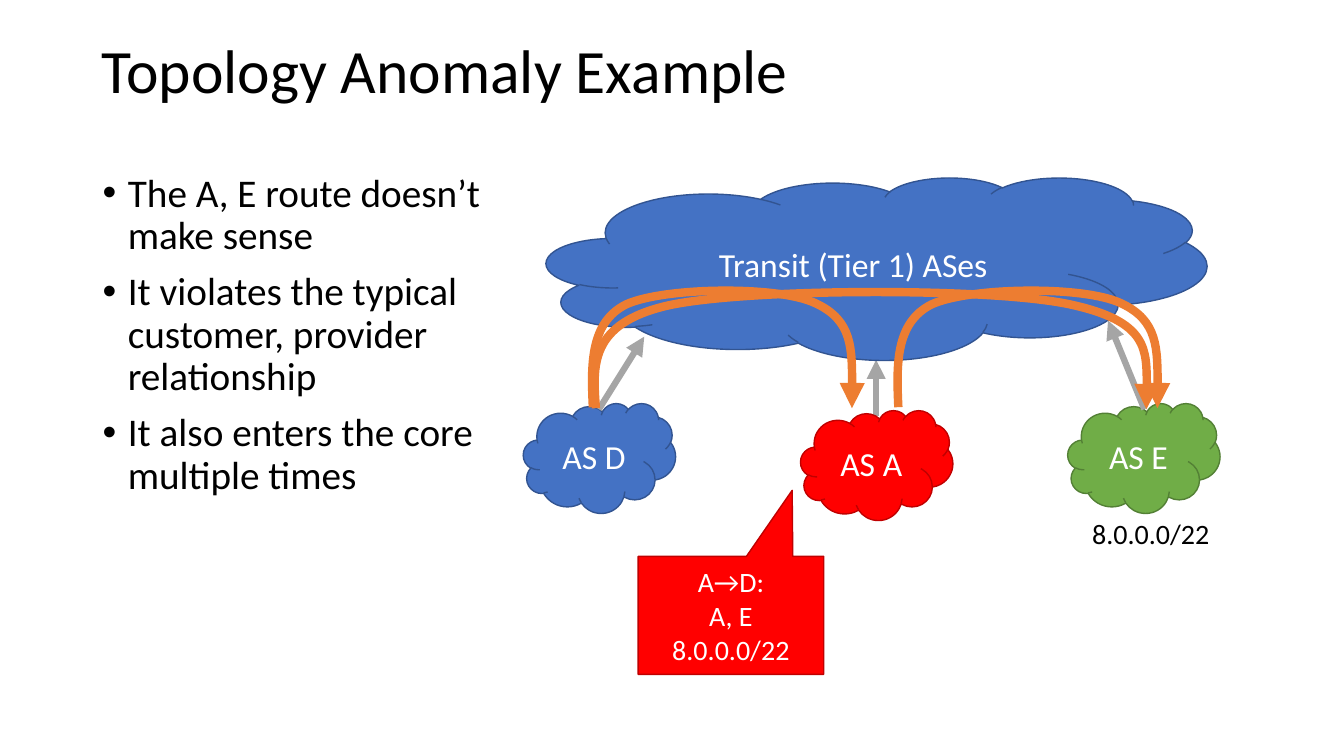
from pptx import Presentation
from pptx.dml.color import RGBColor
from pptx.enum.shapes import MSO_CONNECTOR, MSO_SHAPE
from pptx.enum.text import MSO_ANCHOR, PP_ALIGN
from pptx.oxml.ns import qn
from pptx.util import Inches, Pt
from lxml.etree import SubElement

BLACK = RGBColor(0x00, 0x00, 0x00)
WHITE = RGBColor(0xFF, 0xFF, 0xFF)
BLUE = RGBColor(0x44, 0x72, 0xC4)
NAVY = RGBColor(0x32, 0x54, 0x91)
RED = RGBColor(0xFF, 0x00, 0x00)
MAROON = RGBColor(0xC0, 0x00, 0x00)
GREEN = RGBColor(0x70, 0xAD, 0x47)
FOREST = RGBColor(0x53, 0x80, 0x35)
GRAY = RGBColor(0xA5, 0xA5, 0xA5)
ORANGE = RGBColor(0xED, 0x7D, 0x31)

deck = Presentation()
deck.slide_width, deck.slide_height = Inches(13.33), Inches(7.5)
slide = deck.slides.add_slide(deck.slide_layouts[6])
shapes = slide.shapes


def write(shape, *lines, size=24, color=WHITE, align=PP_ALIGN.CENTER,
          anchor=MSO_ANCHOR.MIDDLE, wrap=True, bullet=False, space=None, gap=0):
    frame = shape.text_frame
    frame.word_wrap = wrap
    frame.vertical_anchor = anchor
    for i, line in enumerate(lines):
        para = frame.paragraphs[0] if i == 0 else frame.add_paragraph()
        para.alignment = align
        if space:
            para.line_spacing = space
        if gap and i:
            para.space_before = Pt(gap)
        if bullet:
            props = para._p.get_or_add_pPr()
            props.set("marL", str(Inches(0.25)))
            props.set("indent", str(Inches(-0.25)))
            SubElement(props, qn("a:buFont"), typeface="Arial")
            SubElement(props, qn("a:buChar"), char="•")
        run = para.add_run()
        run.text = line
        run.font.name = "Calibri"
        run.font.size = Pt(size)
        run.font.color.rgb = color


def stroke(shape, color, width):
    """Style a line and put an arrowhead at its end."""
    shape.line.color.rgb = color
    shape.line.width = Pt(width)
    SubElement(shape.line._get_or_add_ln(), qn("a:tailEnd"), type="triangle")
    SubElement(shape._element.spPr, qn("a:effectLst"))


title = shapes.add_textbox(Inches(0.91), Inches(0), Inches(11.5), Inches(1.45))
write(title, "Topology Anomaly Example", size=44, color=BLACK,
      align=PP_ALIGN.LEFT, space=0.9)

CLOUD = MSO_SHAPE.CLOUD
CALL = MSO_SHAPE.RECTANGULAR_CALLOUT
for kind, x, y, w, h, fill, edge, size, lines in [
    (CLOUD, 5.42, 1.76, 6.55, 1.81, BLUE, NAVY, 24, ["Transit (Tier 1) ASes"]),
    (CLOUD, 7.94, 4.07, 1.51, 1.09, RED, MAROON, 24, ["AS A"]),
    (CLOUD, 10.59, 4, 1.51, 1.09, GREEN, FOREST, 24, ["AS E"]),
    (CLOUD, 5.19, 4, 1.51, 1.09, BLUE, NAVY, 24, ["AS D"]),
    (CALL, 6.33, 5.52, 1.84, 1.17, RED, MAROON, 20,
     ["A→D:", "A, E", "8.0.0.0/22"]),
]:
    node = shapes.add_shape(kind, Inches(x), Inches(y), Inches(w), Inches(h))
    node.shadow.inherit = False
    node.fill.solid()
    node.fill.fore_color.rgb = fill
    node.line.color.rgb = edge
    node.line.width = Pt(1)
    if kind == CALL:
        node.adjustments[0], node.adjustments[1] = 0.33, -1.06
    write(node, *lines, size=size)

for x1, y1, x2, y2 in [(8.69, 4.13, 8.69, 3.57), (5.94, 4.06, 6.39, 3.34),
                       (11.35, 4.06, 10.99, 3.18)]:
    link = shapes.add_connector(MSO_CONNECTOR.STRAIGHT, Inches(x1), Inches(y1),
                                Inches(x2), Inches(y2))
    stroke(link, GRAY, 4.5)
    if x1 == x2:  # the upright link lies beneath the clouds
        title._element.addnext(link._element)

# Each route is a start point and three cubic curves, inside a given frame
hop = [(0, 4.04), (-0.02, 3.62), (-0.03, 3.2), (0.33, 3.02), (0.7, 2.85),
       (1.84, 2.83), (2.21, 3.01), (2.58, 3.18), (2.58, 3.61), (2.57, 4.05)]
span = [(5.91, 4.05), (5.88, 3.63), (5.84, 3.21), (6.63, 3.03), (7.41, 2.86),
        (9.82, 2.85), (10.61, 3.02), (11.4, 3.19), (11.39, 3.62), (11.37, 4.06)]
routes = [(5.9, 2.9, 5.48, span)]
for start in (5.88, 8.91):
    routes.append((start, 2.89, 2.58, [(start + x, y) for x, y in hop]))

for left, top, wide, route in routes:
    pen = shapes.build_freeform(Inches(left), Inches(top))
    pen.add_line_segments([(Inches(left + wide), Inches(top + 1.16))], close=False)
    curve = pen.convert_to_shape()
    track = curve._element.find(".//" + qn("a:path"))
    for step in list(track):
        track.remove(step)
    for i, (x, y) in enumerate(route):
        if i == 0:
            step = SubElement(track, qn("a:moveTo"))
        elif i % 3 == 1:
            step = SubElement(track, qn("a:cubicBezTo"))
        SubElement(step, qn("a:pt"), x=str(Inches(x - left)), y=str(Inches(y - top)))
    curve.fill.background()
    stroke(curve, ORANGE, 6)

prefix = shapes.add_textbox(Inches(10.73), Inches(5.08), Inches(1.37), Inches(0.44))
write(prefix, "8.0.0.0/22", size=20, color=BLACK, anchor=MSO_ANCHOR.TOP, wrap=False)

body = shapes.add_textbox(Inches(0.92), Inches(1.67), Inches(4.02), Inches(5.48))
write(body, "The A, E route doesn’t make sense",
      "It violates the typical customer, provider relationship",
      "It also enters the core multiple times",
      size=28, color=BLACK, align=PP_ALIGN.LEFT, anchor=MSO_ANCHOR.TOP,
      bullet=True, space=0.9, gap=10)

deck.save("out.pptx")
